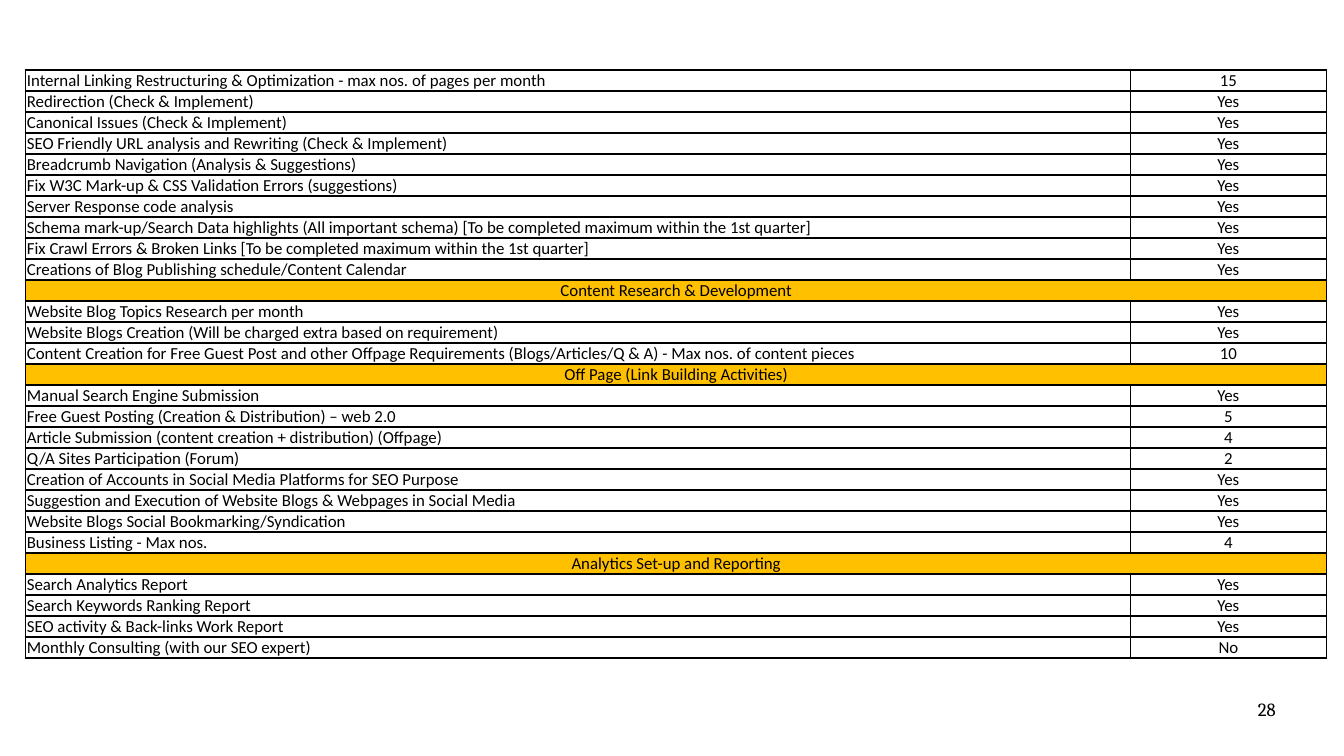
from pptx import Presentation
from pptx import util as u
from pptx.dml.color import RGBColor
from pptx.enum import text
from pptx.oxml import parse_xml
from pptx.oxml.ns import nsdecls

HUES = {"ink": "000000", "band": "FFC000"}
WIDE = 10
HIGH = WIDE * 9 / 16

# A row without a value is a section heading across both columns.
ROWS = [
    ("Internal Linking Restructuring & Optimization - max nos. of pages per month", "15"),
    ("Redirection (Check & Implement)", "Yes"),
    ("Canonical Issues (Check & Implement)", "Yes"),
    ("SEO Friendly URL analysis and Rewriting (Check & Implement)", "Yes"),
    ("Breadcrumb Navigation (Analysis & Suggestions)", "Yes"),
    ("Fix W3C Mark-up & CSS Validation Errors (suggestions)", "Yes"),
    ("Server Response code analysis", "Yes"),
    ("Schema mark-up/Search Data highlights (All important schema) "
     "[To be completed maximum within the 1st quarter]", "Yes"),
    ("Fix Crawl Errors & Broken Links [To be completed maximum within the 1st quarter]", "Yes"),
    ("Creations of Blog Publishing schedule/Content Calendar", "Yes"),
    ("Content Research & Development", None),
    ("Website Blog Topics Research per month", "Yes"),
    ("Website Blogs Creation (Will be charged extra based on requirement)", "Yes"),
    ("Content Creation for Free Guest Post and other Offpage Requirements "
     "(Blogs/Articles/Q & A) - Max nos. of content pieces", "10"),
    ("Off Page (Link Building Activities)", None),
    ("Manual Search Engine Submission", "Yes"),
    ("Free Guest Posting (Creation & Distribution) – web 2.0", "5"),
    ("Article Submission (content creation + distribution) (Offpage)", "4"),
    ("Q/A Sites Participation (Forum)", "2"),
    ("Creation of Accounts in Social Media Platforms for SEO Purpose", "Yes"),
    ("Suggestion and Execution of Website Blogs & Webpages in Social Media", "Yes"),
    ("Website Blogs Social Bookmarking/Syndication", "Yes"),
    ("Business Listing - Max nos.", "4"),
    ("Analytics Set-up and Reporting", None),
    ("Search Analytics Report", "Yes"),
    ("Search Keywords Ranking Report", "Yes"),
    ("SEO activity & Back-links Work Report", "Yes"),
    ("Monthly Consulting (with our SEO expert)", "No"),
]


def write(frame, words, font="Calibri", size=9, hue="ink", center=False):
    par = frame.paragraphs[0]
    par.alignment = text.PP_ALIGN.CENTER if center else text.PP_ALIGN.LEFT
    run = par.add_run()
    run.text = words
    run.font.name = font
    run.font.size = u.Pt(size)
    run.font.color.rgb = RGBColor.from_string(HUES[hue])


class Sheet:
    def __init__(self, slide, line=0.75):
        self.slide = slide
        self.line = line

    def label(self, words, left, top, width, height, **style):
        frame = self.slide.shapes.add_textbox(
            *map(u.Inches, (left, top, width, height))).text_frame
        frame.word_wrap = True
        frame.margin_left = frame.margin_right = 0
        frame.margin_top = frame.margin_bottom = 0
        write(frame, words, **style)

    def border(self, cell):
        props = cell._tc.get_or_add_tcPr()
        for side in "LRTB":
            props.append(parse_xml(
                f'<a:ln{side} {nsdecls("a")} w="{u.Pt(self.line)}"><a:solidFill>'
                f'<a:srgbClr val="{HUES["ink"]}"/></a:solidFill></a:ln{side}>'))

    def cell(self, cell, words, fill=None, center=False):
        cell.margin_left = cell.margin_right = u.Inches(0.01)
        cell.margin_top = u.Pt(0.25)
        cell.margin_bottom = 0
        cell.vertical_anchor = text.MSO_ANCHOR.BOTTOM
        self.border(cell)
        if fill:
            cell.fill.solid()
            cell.fill.fore_color.rgb = RGBColor.from_string(HUES[fill])
        else:
            cell.fill.background()
        write(cell.text_frame, words, center=center)

    def table(self, rows, left, top, cols, height):
        grid = self.slide.shapes.add_table(
            len(rows), len(cols), u.Inches(left), u.Inches(top),
            u.Inches(sum(cols)), u.Inches(height)).table
        grid.first_row = grid.horz_banding = False
        for col, width in zip(grid.columns, cols):
            col.width = u.Inches(width)
        for i, (task, value) in enumerate(rows):
            grid.rows[i].height = u.Inches(height / len(rows))
            first, last = grid.cell(i, 0), grid.cell(i, 1)
            if value is None:
                first.merge(last)
                self.cell(first, task, fill="band", center=True)
                self.border(last)
            else:
                self.cell(first, task)
                self.cell(last, value, center=True)


def main():
    deck = Presentation()
    deck.slide_width, deck.slide_height = u.Inches(WIDE), u.Inches(HIGH)
    sheet = Sheet(deck.slides.add_slide(deck.slide_layouts[6]))
    sheet.label("28", 9.36, 5.19, 0.6, 0.43, font="Cambria", size=10)
    sheet.table(ROWS, 0.19, 0.52, (8.22, 1.46), 4.38)
    deck.save("out.pptx")


if __name__ == "__main__":
    main()
